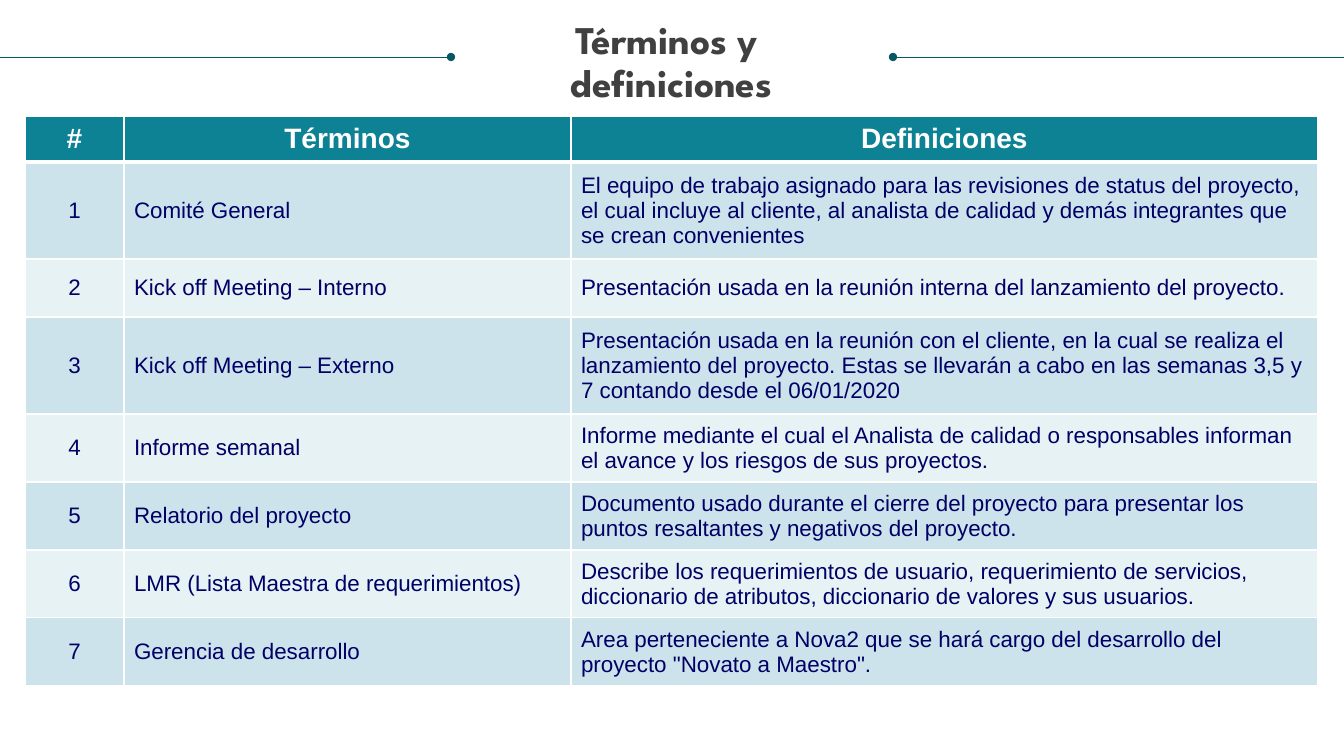
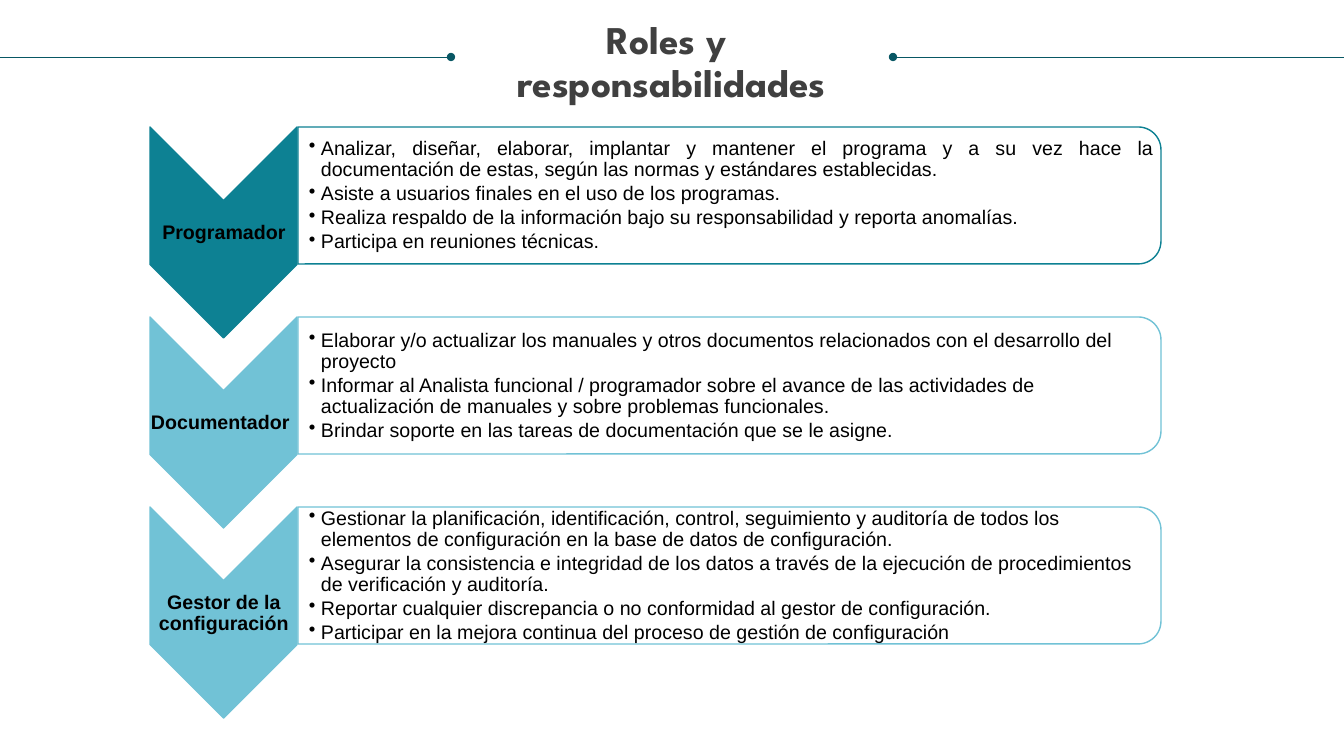
from dataclasses import dataclass

from lxml.etree import SubElement
from pptx import Presentation
from pptx.dml.color import RGBColor
from pptx.enum.shapes import MSO_CONNECTOR as Connector, MSO_SHAPE as Preset
from pptx.enum.text import MSO_ANCHOR as Anchor, PP_ALIGN as Align
from pptx.oxml.ns import qn
from pptx.util import Emu, Pt

WIDTH, HEIGHT = 1344, 756
EMU_PER_PX = 12192000 / WIDTH


def px(length):
    return Emu(round(length * EMU_PER_PX))


@dataclass(frozen=True)
class Theme:
    title_font: str = "League Spartan"
    body_font: str = "Arial"
    title_color: str = "404040"
    rule_color: str = "085764"
    header_fill: str = "0D8295"
    bands: tuple = ("CCE3EB", "E7F2F5")
    cell_color: str = "000066"
    teal: str = "0D8193"
    sky: str = "71C2D6"
    white: str = "FFFFFF"
    black: str = "000000"
    title_size: int = 28
    header_size: int = 20
    cell_size: int = 16
    role_size: int = 14


class Deck:
    def __init__(self, theme):
        self.theme = theme
        self.presentation = Presentation()
        self.presentation.slide_width = px(WIDTH)
        self.presentation.slide_height = px(HEIGHT)
        self.slide = None

    def add_slide(self, title_lines):
        layout = self.presentation.slide_layouts[6]
        self.slide = self.presentation.slides.add_slide(layout)
        theme = self.theme
        self.rule(0, 451)
        self.rule(WIDTH, 893)
        self.text((25, 21, 1293, 84), title_lines, theme.title_size,
                  theme.title_color, font=theme.title_font, bold=True,
                  align=Align.CENTER, anchor=Anchor.TOP)

    def rule(self, outer, inner, y=57):
        line = self.slide.shapes.add_connector(
            Connector.STRAIGHT, px(outer), px(y), px(inner), px(y))
        line.line.color.rgb = RGBColor.from_string(self.theme.rule_color)
        line.line.width = Pt(0.5)
        properties = line._element.spPr
        SubElement(properties.find(qn("a:ln")), qn("a:tailEnd"), type="oval")
        SubElement(properties, qn("a:effectLst"))

    def format_runs(self, paragraph, size, color, font=None, bold=False):
        for run in paragraph.runs:
            run.font.name = font or self.theme.body_font
            run.font.size = Pt(size)
            run.font.bold = bold
            run.font.color.rgb = RGBColor.from_string(color)

    def text(self, box, lines, size, color, font=None, bold=False,
             align=Align.LEFT, anchor=Anchor.MIDDLE, inset=0, bullet_indent=0):
        shape = self.slide.shapes.add_textbox(*map(px, box))
        frame = shape.text_frame
        frame.word_wrap = True
        frame.vertical_anchor = anchor
        frame.margin_left = px(inset)
        frame.margin_top = frame.margin_right = frame.margin_bottom = 0
        frame.text = "\n".join(lines)
        for paragraph in frame.paragraphs:
            paragraph.alignment = align
            paragraph.line_spacing = 0.9
            self.format_runs(paragraph, size, color, font, bold)
            if bullet_indent:
                paragraph.space_after = Pt(2)
                self.bullet(paragraph, px(bullet_indent))

    def bullet(self, paragraph, indent):
        properties = paragraph._p.get_or_add_pPr()
        properties.set("marL", str(indent))
        properties.set("indent", str(-indent))
        SubElement(properties, qn("a:buChar"), char="•")

    def turned_shape(self, preset, box, fill, line, opacity=100):
        left, top, width, height = box
        shift = (width - height) // 2
        shape = self.slide.shapes.add_shape(
            preset, px(left + shift), px(top - shift), px(height), px(width))
        shape.rotation = 90
        shape.shadow.inherit = False
        shape.fill.solid()
        shape.fill.fore_color.rgb = RGBColor.from_string(fill)
        shape.line.color.rgb = RGBColor.from_string(line)
        shape.line.width = Pt(1)
        if opacity < 100:
            color = shape._element.spPr.find(qn("a:solidFill"))[0]
            SubElement(color, qn("a:alpha"), val=str(opacity * 1000))

    def cell_borders(self, cell, bottom):
        properties = cell._tc.get_or_add_tcPr()
        widths = {"a:lnL": 1, "a:lnR": 1, "a:lnT": 1, "a:lnB": bottom}
        for side, width in widths.items():
            line = SubElement(properties, qn(side), w=str(Pt(width)))
            fill = SubElement(line, qn("a:solidFill"))
            SubElement(fill, qn("a:srgbClr"), val=self.theme.white)

    def table(self, left, top, columns, heights, rows):
        theme = self.theme
        frame = self.slide.shapes.add_table(
            len(rows), len(columns), px(left), px(top),
            px(sum(columns)), px(sum(heights)))
        table = frame.table
        for column, width in zip(table.columns, columns):
            column.width = px(width)
        for index, (height, values) in enumerate(zip(heights, rows)):
            table.rows[index].height = px(height)
            header = index == 0
            fill = theme.header_fill if header else theme.bands[(index - 1) % 2]
            size = theme.header_size if header else theme.cell_size
            color = theme.white if header else theme.cell_color
            for position, value in enumerate(values):
                cell = table.cell(index, position)
                self.cell_borders(cell, 3 if header else 1)
                cell.fill.solid()
                cell.fill.fore_color.rgb = RGBColor.from_string(fill)
                cell.vertical_anchor = Anchor.MIDDLE
                cell.text_frame.text = value
                paragraph = cell.text_frame.paragraphs[0]
                centred = header or position == 0
                paragraph.alignment = Align.CENTER if centred else Align.LEFT
                self.format_runs(paragraph, size, color, bold=header)

    def role(self, top, name, duties, color, name_align, duty_align):
        theme = self.theme
        self.turned_shape(Preset.CHEVRON, (150, top, 147, 211), color, color)
        self.text((150, top + 75, 147, 63), [name], theme.role_size,
                  theme.black, bold=True, align=name_align, inset=1)
        self.turned_shape(Preset.ROUND_2_SAME_RECTANGLE,
                          (298, top, 863, 137), theme.white, color, opacity=90)
        self.text((298, top + 7, 856, 124), duties, theme.role_size,
                  theme.black, align=duty_align, inset=11, bullet_indent=12)


TERMS = [
    ("Comité General",
     "El equipo de trabajo asignado para las revisiones de status del proyecto, "
     "el cual incluye al cliente, al analista de calidad y demás integrantes que "
     "se crean convenientes"),
    ("Kick off Meeting – Interno",
     "Presentación usada en la reunión interna del lanzamiento del proyecto."),
    ("Kick off Meeting – Externo",
     "Presentación usada en la reunión con el cliente, en la cual se realiza el "
     "lanzamiento del proyecto. Estas se llevarán a cabo en las semanas 3,5 y 7 "
     "contando desde el 06/01/2020"),
    ("Informe semanal",
     "Informe mediante el cual el Analista de calidad o responsables informan el "
     "avance y los riesgos de sus proyectos."),
    ("Relatorio del proyecto",
     "Documento usado durante el cierre del proyecto para presentar los puntos "
     "resaltantes y negativos del proyecto."),
    ("LMR (Lista Maestra de requerimientos)",
     "Describe los requerimientos de usuario, requerimiento de servicios, "
     "diccionario de atributos, diccionario de valores y sus usuarios."),
    ("Gerencia de desarrollo",
     "Area perteneciente a Nova2 que se hará cargo del desarrollo del proyecto "
     "\"Novato a Maestro\"."),
]

PROGRAMMER_DUTIES = [
    "Analizar, diseñar, elaborar, implantar y mantener el programa y a su vez "
    "hace la documentación de estas, según las normas y estándares establecidas.",
    "Asiste a usuarios finales en el uso de los programas.",
    "Realiza respaldo de la información bajo su responsabilidad y reporta "
    "anomalías.",
    "Participa en reuniones técnicas.",
]

WRITER_DUTIES = [
    "Elaborar y/o actualizar los manuales y otros documentos relacionados con el "
    "desarrollo del proyecto",
    "Informar al Analista funcional / programador sobre el avance de las "
    "actividades de actualización de manuales y sobre problemas funcionales.",
    "Brindar soporte en las tareas de documentación que se le asigne.",
]

MANAGER_DUTIES = [
    "Gestionar la planificación, identificación, control, seguimiento y auditoría "
    "de todos los elementos de configuración en la base de datos de "
    "configuración.",
    "Asegurar la consistencia e integridad de los datos a través de la ejecución "
    "de procedimientos de verificación y auditoría.",
    "Reportar cualquier discrepancia o no conformidad al gestor de configuración.",
    "Participar en la mejora continua del proceso de gestión de configuración",
]


def main():
    theme = Theme()
    deck = Deck(theme)

    deck.add_slide(["Términos y ", "definiciones"])
    numbered = [(str(number), *term) for number, term in enumerate(TERMS, 1)]
    deck.table(25, 116, [99, 447, 747], [46, 97, 58, 97] + [68] * 4,
               [("#", "Términos", "Definiciones")] + numbered)

    deck.add_slide(["Roles y ", "responsabilidades"])
    roles = [
        ("Programador", PROGRAMMER_DUTIES, theme.teal,
         Align.CENTER, Align.JUSTIFY),
        ("Documentador", WRITER_DUTIES, theme.sky, Align.JUSTIFY, Align.LEFT),
        ("Gestor de la configuración", MANAGER_DUTIES, theme.sky,
         Align.CENTER, Align.LEFT),
    ]
    for index, role in enumerate(roles):
        deck.role(127 + 190 * index, *role)

    deck.presentation.save("out.pptx")


if __name__ == "__main__":
    main()
